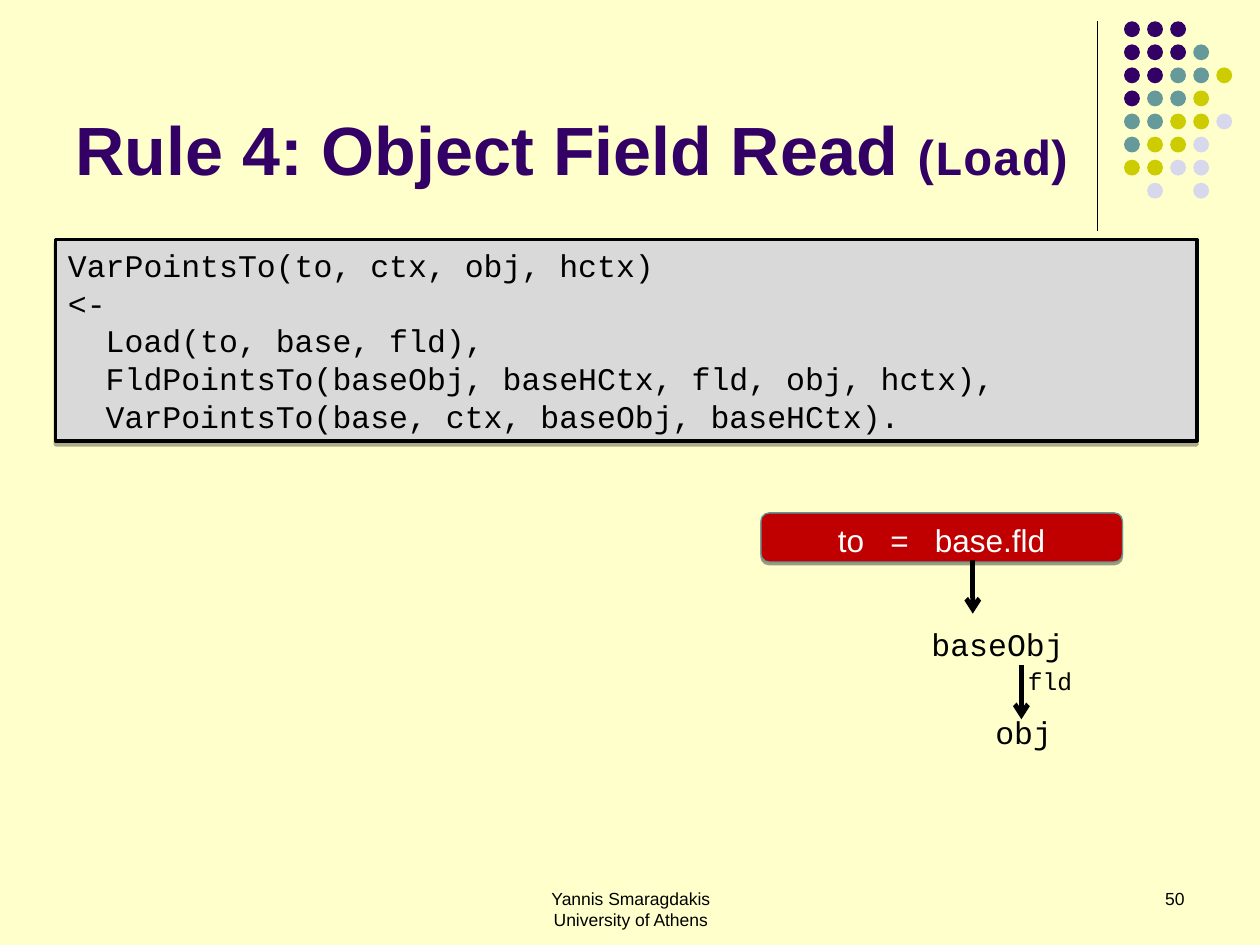
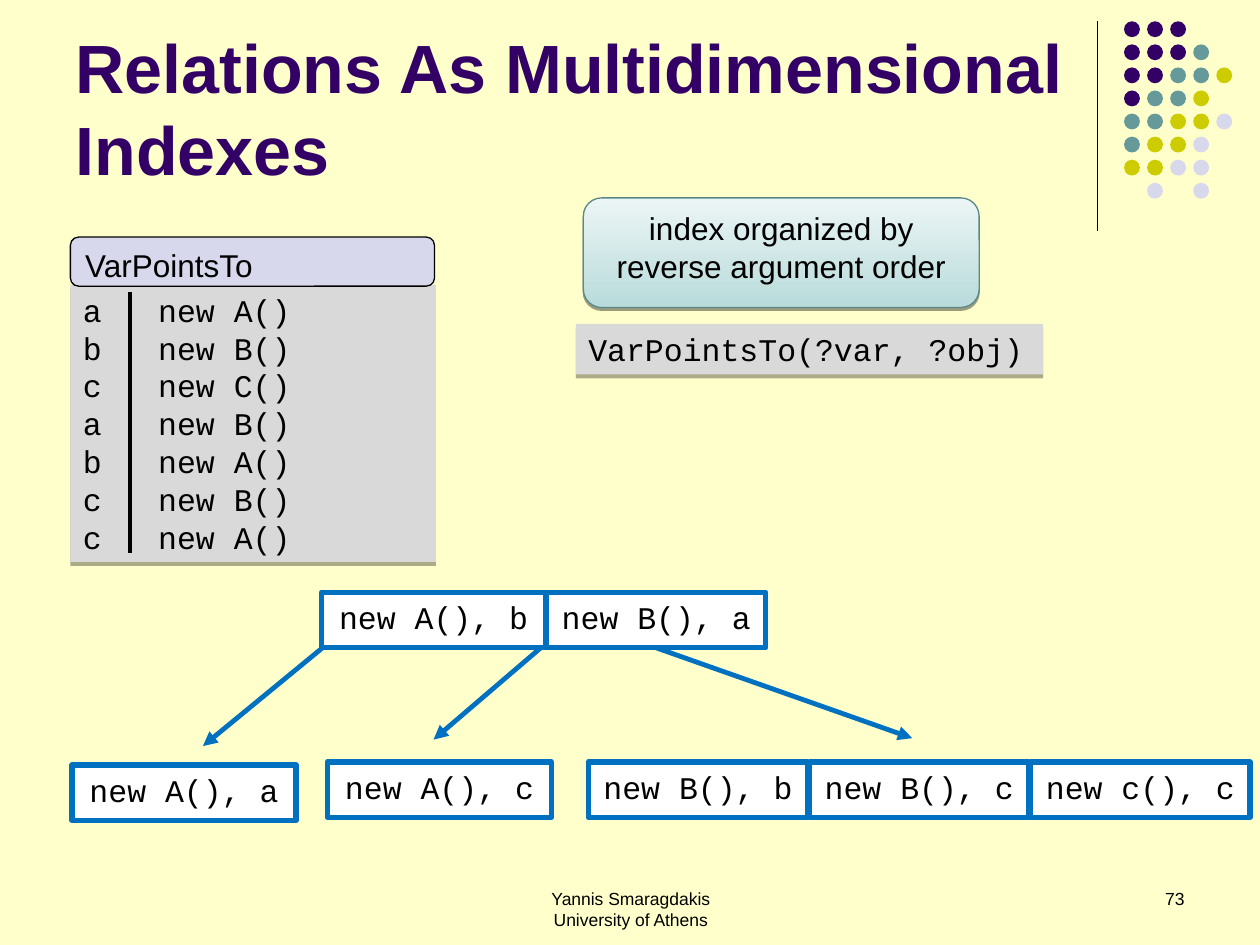
from dataclasses import dataclass

from lxml import etree
from pptx import Presentation
from pptx.dml.color import RGBColor
from pptx.enum.shapes import MSO_CONNECTOR, MSO_SHAPE
from pptx.enum.text import MSO_ANCHOR, MSO_AUTO_SIZE, PP_ALIGN
from pptx.oxml.ns import qn
from pptx.util import Cm, Pt

RECTANGLE = MSO_SHAPE.RECTANGLE
ROUNDED = MSO_SHAPE.ROUNDED_RECTANGLE
OVAL = MSO_SHAPE.OVAL
STRAIGHT = MSO_CONNECTOR.STRAIGHT
LEFT, CENTER, RIGHT = PP_ALIGN.LEFT, PP_ALIGN.CENTER, PP_ALIGN.RIGHT
BOTTOM_SIDE = 2


@dataclass(frozen=True)
class Theme:
    background: str = "FFFFCC"
    black: str = "000000"
    white: str = "FFFFFF"
    purple: str = "330066"
    teal: str = "669999"
    olive: str = "CCCC00"
    lavender: str = "D8D8EC"
    code_fill: str = "D9D9D9"
    red: str = "C00000"
    red_border: str = "629797"
    callout_border: str = "598888"
    callout_dark: str = "B9DBDB"
    callout_light: str = "ECF5F5"
    tree: str = "0070C0"
    sans: str = "Arial"
    mono: str = "Courier New"
    title_size: float = 39
    title_note_size: float = 28
    body_size: float = 18
    label_size: float = 14
    footer_size: float = 10
    line_pitch: float = 1.2


THEME = Theme()
rgb = RGBColor.from_string


def add_box(slide, text, left, top, width, height, *, kind=None, fill=None, line=None,
            line_width=0.75, shadow=None, font=THEME.sans, size=THEME.body_size,
            color=THEME.black, align=LEFT, wrap=True, tab=None):
    """Add a text box, or a preset shape if kind is given; one paragraph per text line.

    shadow is (opacity in percent, distance in points); tab is a tab stop in centimetres.
    """
    frame = Cm(left), Cm(top), Cm(width), Cm(height)
    if kind is None:
        shape = slide.shapes.add_textbox(*frame)
    else:
        shape = slide.shapes.add_shape(kind, *frame)
        shape.shadow.inherit = False
        if fill:
            shape.fill.solid()
            shape.fill.fore_color.rgb = rgb(fill)
        if line:
            shape.line.color.rgb = rgb(line)
            shape.line.width = Pt(line_width)
        else:
            shape.line.fill.background()
    if shadow:
        opacity, distance = shadow
        effects = shape._element.spPr.find(qn("a:effectLst"))
        outer = etree.SubElement(effects, qn("a:outerShdw"), dist=str(Pt(distance)),
                                 dir="5400000", rotWithShape="0")
        tint = etree.SubElement(outer, qn("a:srgbClr"), val=THEME.black)
        etree.SubElement(tint, qn("a:alpha"), val=str(opacity * 1000))
    if not text:
        return shape

    text_frame = shape.text_frame
    text_frame.word_wrap = wrap
    text_frame.auto_size = MSO_AUTO_SIZE.NONE
    text_frame.vertical_anchor = MSO_ANCHOR.TOP
    text_frame.text = text
    for paragraph in text_frame.paragraphs:
        paragraph.alignment = align
        paragraph.line_spacing = Pt(size * THEME.line_pitch)
        if tab:
            tabs = etree.SubElement(paragraph._p.get_or_add_pPr(), qn("a:tabLst"))
            etree.SubElement(tabs, qn("a:tab"), pos=str(Cm(tab)), algn="l")
        paragraph.font.name = font
        paragraph.font.size = Pt(size)
        paragraph.font.color.rgb = rgb(color)
    return shape


def add_line(slide, start, end, *, color=THEME.black, width=2.75, arrow=None):
    connector = slide.shapes.add_connector(
        STRAIGHT, *(Cm(value) for value in (*start, *end)))
    connector.line.color.rgb = rgb(color)
    connector.line.width = Pt(width)
    etree.SubElement(connector._element.spPr, qn("a:effectLst"))
    if arrow:
        etree.SubElement(connector.line._get_or_add_ln(), qn("a:tailEnd"), type=arrow)
    return connector


presentation = Presentation()
presentation.slide_width = Cm(25.4)
presentation.slide_height = Cm(19.05)
background = presentation.slide_master.background.fill
background.solid()
background.fore_color.rgb = rgb(THEME.background)

# Title, corner dots and footer shared by both slides
TITLES = [
    ("50", [("Rule 4: Object Field Read ", THEME.sans, THEME.title_size),
            ("(", THEME.sans, THEME.title_note_size),
            ("Load", THEME.mono, THEME.title_note_size),
            (")", THEME.sans, THEME.title_note_size)]),
    ("73", [("Relations As Multidimensional Indexes", THEME.sans, THEME.title_size)]),
]
DOT_ROWS = ["PPP", "PPPT", "PPTTO", "PTTO", "TTOOL", "TOOL", "OOLL", " L L"]
DOT_COLORS = {"P": THEME.purple, "T": THEME.teal, "O": THEME.olive, "L": THEME.lavender}
DOT_PITCH = 0.465

slides = []
for number, title_runs in TITLES:
    slide = presentation.slides.add_slide(presentation.slide_layouts[5])
    slides.append(slide)

    title = slide.shapes.title
    title.left, title.top, title.width, title.height = Cm(1.27), Cm(0.33), Cm(20.96), Cm(3.61)
    title.text_frame.word_wrap = True
    title.text_frame.auto_size = MSO_AUTO_SIZE.NONE
    title.text_frame.vertical_anchor = MSO_ANCHOR.BOTTOM
    paragraph = title.text_frame.paragraphs[0]
    paragraph.alignment = LEFT
    paragraph.line_spacing = Pt(THEME.title_size * THEME.line_pitch)
    for text, font, size in title_runs:
        run = paragraph.add_run()
        run.text = text
        run.font.name = font
        run.font.size = Pt(size)
        run.font.bold = True
        run.font.color.rgb = rgb(THEME.purple)

    add_line(slide, (22.12, 0.43), (22.12, 4.65), width=0.75)
    for row, letters in enumerate(DOT_ROWS):
        for column, letter in enumerate(letters):
            if letter in DOT_COLORS:
                add_box(slide, "", 22.66 + column * DOT_PITCH, 0.43 + row * DOT_PITCH,
                        0.32, 0.32, kind=OVAL, fill=DOT_COLORS[letter])

    add_box(slide, "Yannis Smaragdakis\nUniversity of Athens", 8.69, 17.78, 8.05, 1.27,
            size=THEME.footer_size, align=CENTER)
    add_box(slide, number, 18.21, 17.78, 5.92, 1.27, size=THEME.footer_size, align=RIGHT)

rule_slide, index_slide = slides
code_style = dict(kind=RECTANGLE, fill=THEME.code_fill, shadow=(32, 2.2), font=THEME.mono)

# Load rule and the objects it reaches
LOAD_RULE = """VarPointsTo(to, ctx, obj, hctx)
<-
  Load(to, base, fld),
  FldPointsTo(baseObj, baseHCtx, fld, obj, hctx),
  VarPointsTo(base, ctx, baseObj, baseHCtx)."""
add_box(rule_slide, LOAD_RULE, 1.12, 4.83, 23.01, 4.06,
        line=THEME.black, line_width=2, **code_style)
add_box(rule_slide, "to   =   base.fld", 15.34, 10.34, 7.29, 0.99, kind=ROUNDED,
        fill=THEME.red, line=THEME.red_border, shadow=(38, 1.6),
        color=THEME.white, align=CENTER)
for x, y in [(19.61, 11.28), (20.59, 13.41)]:
    add_line(rule_slide, (x, y), (x, y + 1.09), arrow="arrow")
for text, left, top, width, height, size in [
    ("obj", 19.81, 14.25, 1.65, 1.02, THEME.body_size),
    ("baseObj", 18.52, 12.47, 3.18, 1.02, THEME.body_size),
    ("fld", 20.47, 13.31, 1.4, 0.86, THEME.label_size),
]:
    add_box(rule_slide, text, left, top, width, height, font=THEME.mono,
            size=size, align=CENTER, wrap=False)

# Relation contents and the query
RELATION = [("a", "A"), ("b", "B"), ("c", "C"), ("a", "B"), ("b", "A"), ("c", "B"), ("c", "A")]
relation_text = "\n".join(f"{variable}\tnew {type_name}()" for variable, type_name in RELATION)
add_box(index_slide, relation_text, 1.42, 5.74, 7.37, 5.59, tab=1.52, **code_style)
add_box(index_slide, "VarPointsTo", 1.42, 4.78, 7.34, 0.99, kind=ROUNDED,
        fill=THEME.lavender, line=THEME.black)
add_line(index_slide, (2.62, 5.89), (2.62, 11.15), width=2.5)
add_box(index_slide, "VarPointsTo(?var, ?obj)", 11.61, 6.53, 9.42, 1.02, **code_style)

callout = add_box(index_slide, "index organized by\nreverse argument order",
                  11.76, 3.99, 7.98, 2.21, kind=ROUNDED, line=THEME.callout_border,
                  shadow=(38, 1.6), align=CENTER)
callout.fill.gradient()
callout.fill.gradient_angle = 90
for stop, color in zip(callout.fill.gradient_stops, (THEME.callout_dark, THEME.callout_light)):
    stop.color.rgb = rgb(color)

# Index tree
ROOT_TOP, LEAF_TOP, NODE_HEIGHT = 11.94, 15.36, 1.12
WIDE, NARROW, LEAF_STEP = 4.52, 4.42, 4.46
tree_nodes = {}
for text, left, top, width in [
    ("new A(), b", 6.48, ROOT_TOP, WIDE),
    ("new B(), a", 11.02, ROOT_TOP, NARROW),
    ("new A(), a", 1.45, LEAF_TOP + 0.06, WIDE),
    ("new A(), c", 6.6, LEAF_TOP, WIDE),
    *((f"new {call}", 11.86 + index * LEAF_STEP, LEAF_TOP, NARROW)
      for index, call in enumerate(["B(), b", "B(), c", "c(), c"])),
]:
    tree_nodes[text] = add_box(index_slide, text, left, top, width, NODE_HEIGHT,
                               kind=RECTANGLE, fill=THEME.white, line=THEME.tree,
                               line_width=3, font=THEME.mono, align=CENTER)

ROOT_BOTTOM = ROOT_TOP + NODE_HEIGHT
for start_x, end in [(6.5, (4.09, 15.04)), (10.9, (8.74, 14.91)), (13.23, (18.39, 14.88))]:
    branch = add_line(index_slide, (start_x, ROOT_BOTTOM), end, color=THEME.tree,
                      arrow="triangle")
branch.begin_connect(tree_nodes["new B(), a"], BOTTOM_SIDE)

presentation.save("out.pptx")
